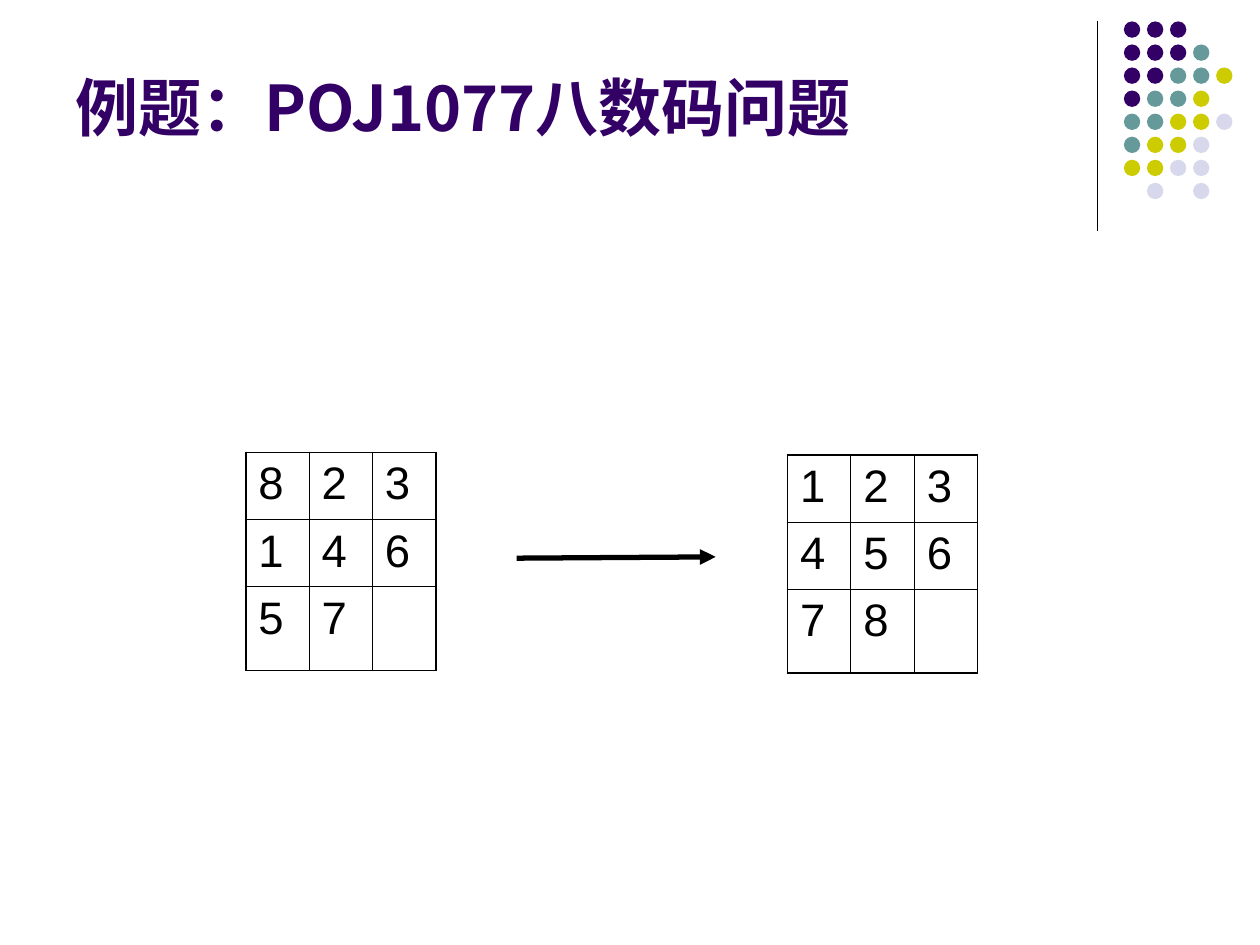
import pptx
import pptx.util
import pptx.dml.color
import pptx.enum.shapes
import pptx.enum.text
import pptx.oxml
import pptx.oxml.ns

RGBColor = pptx.dml.color.RGBColor
BLACK = RGBColor(0x00, 0x00, 0x00)
PURPLE = RGBColor(0x33, 0x00, 0x66)
TEAL = RGBColor(0x66, 0x99, 0x99)
OLIVE = RGBColor(0xCC, 0xCC, 0x00)
LAVENDER = RGBColor(0xD8, 0xD8, 0xEC)

COLUMNS, ROWS = 100, 75
DOT_COLORS = {"P": PURPLE, "T": TEAL, "O": OLIVE, "L": LAVENDER}
DOT_PATTERN = ["PPP", "PPPT", "PPTTO", "PTTO", "TTOOL", "TOOL", "OOLL", " L L"]
START_BOARD = ["823", "146", "57 "]
GOAL_BOARD = ["123", "456", "78 "]


def write_text(paragraph, text, font="Arial", size=26, color=BLACK, bold=False):
    run = paragraph.add_run()
    run.text = text
    run.font.name = font
    run.font.size = pptx.util.Pt(size)
    run.font.bold = bold
    run.font.color.rgb = color
    east_asian = pptx.oxml.ns.qn("a:ea")
    run.font._element.makeelement(east_asian)
    latin = run.font._element.find(pptx.oxml.ns.qn("a:latin"))
    latin.addnext(latin.makeelement(east_asian, {"typeface": font}))


class SlideBuilder:
    inner_border, outer_border = 0.45, 1.08

    def __init__(self, presentation):
        self.presentation = presentation
        self.slide = presentation.slides.add_slide(presentation.slide_layouts[6])

    def across(self, columns):
        return round(self.presentation.slide_width * columns / COLUMNS)

    def down(self, rows):
        return round(self.presentation.slide_height * rows / ROWS)

    def box(self, left, top, width, height):
        return self.across(left), self.down(top), self.across(width), self.down(height)

    def line(self, start, end, width, arrow=False):
        connector = self.slide.shapes.add_connector(
            pptx.enum.shapes.MSO_CONNECTOR.STRAIGHT,
            self.across(start[0]), self.down(start[1]),
            self.across(end[0]), self.down(end[1]))
        connector.line.color.rgb = BLACK
        connector.line.width = pptx.util.Pt(width)
        if arrow:
            outline = connector.line._get_or_add_ln()
            outline.append(outline.makeelement(
                pptx.oxml.ns.qn("a:tailEnd"), {"type": "triangle"}))
        properties = connector._element.spPr
        properties.append(properties.makeelement(pptx.oxml.ns.qn("a:effectLst")))

    def dot(self, left, top, diameter, color):
        shape = self.slide.shapes.add_shape(
            pptx.enum.shapes.MSO_SHAPE.OVAL, *self.box(left, top, diameter, diameter))
        shape.shadow.inherit = False
        shape.fill.solid()
        shape.fill.fore_color.rgb = color
        shape.line.fill.background()

    def dots(self, left, top, pitch, diameter, pattern):
        for row, codes in enumerate(pattern):
            for column, code in enumerate(codes):
                if code in DOT_COLORS:
                    self.dot(left + column * pitch, top + row * pitch,
                             diameter, DOT_COLORS[code])

    def title(self, text, left, top, width, height):
        shape = self.slide.shapes.add_textbox(*self.box(left, top, width, height))
        frame = shape.text_frame
        frame.word_wrap = True
        frame.vertical_anchor = pptx.enum.text.MSO_ANCHOR.MIDDLE
        write_text(frame.paragraphs[0], text, font="Noto Sans CJK SC",
                   size=36, color=PURPLE, bold=True)

    def borders(self, cell, outer_sides):
        properties = cell._tc.get_or_add_tcPr()
        for side in "LRTB":
            points = self.outer_border if side in outer_sides else self.inner_border
            properties.append(pptx.oxml.parse_xml(
                f'<a:ln{side} {pptx.oxml.ns.nsdecls("a")} w="{pptx.util.Pt(points)}">'
                f'<a:solidFill><a:srgbClr val="{BLACK}"/></a:solidFill></a:ln{side}>'))

    def board(self, left, top, tiles, column_width=5.03, row_heights=(5.33, 5.33, 6.64)):
        count = len(tiles)
        table = self.slide.shapes.add_table(count, count, *self.box(
            left, top, column_width * count, sum(row_heights))).table
        table.first_row = table.horz_banding = False
        for column in table.columns:
            column.width = self.across(column_width)
        for row, height in enumerate(row_heights):
            table.rows[row].height = self.down(height)
            for column, tile in enumerate(tiles[row]):
                cell = table.cell(row, column)
                edges = {"L": column == 0, "R": column == count - 1,
                         "T": row == 0, "B": row == count - 1}
                self.borders(cell, [side for side, outer in edges.items() if outer])
                cell.fill.background()
                if tile.strip():
                    write_text(cell.text_frame.paragraphs[0], tile)


def main():
    presentation = pptx.Presentation()
    presentation.slide_width = pptx.util.Inches(10)
    presentation.slide_height = pptx.util.Inches(7.5)
    builder = SlideBuilder(presentation)
    builder.line((87.1, 1.7), (87.1, 18.3), 0.75)
    builder.dots(89.2, 1.7, 1.83, 1.3, DOT_PATTERN)
    builder.title("例题：POJ1077八数码问题", 5, 1.3, 82.5, 14.2)
    builder.board(62.5, 36.1, GOAL_BOARD)
    builder.board(19.5, 35.9, START_BOARD)
    builder.line((41, 44.3), (56.8, 44.2), 3, arrow=True)
    presentation.save("out.pptx")


if __name__ == "__main__":
    main()
